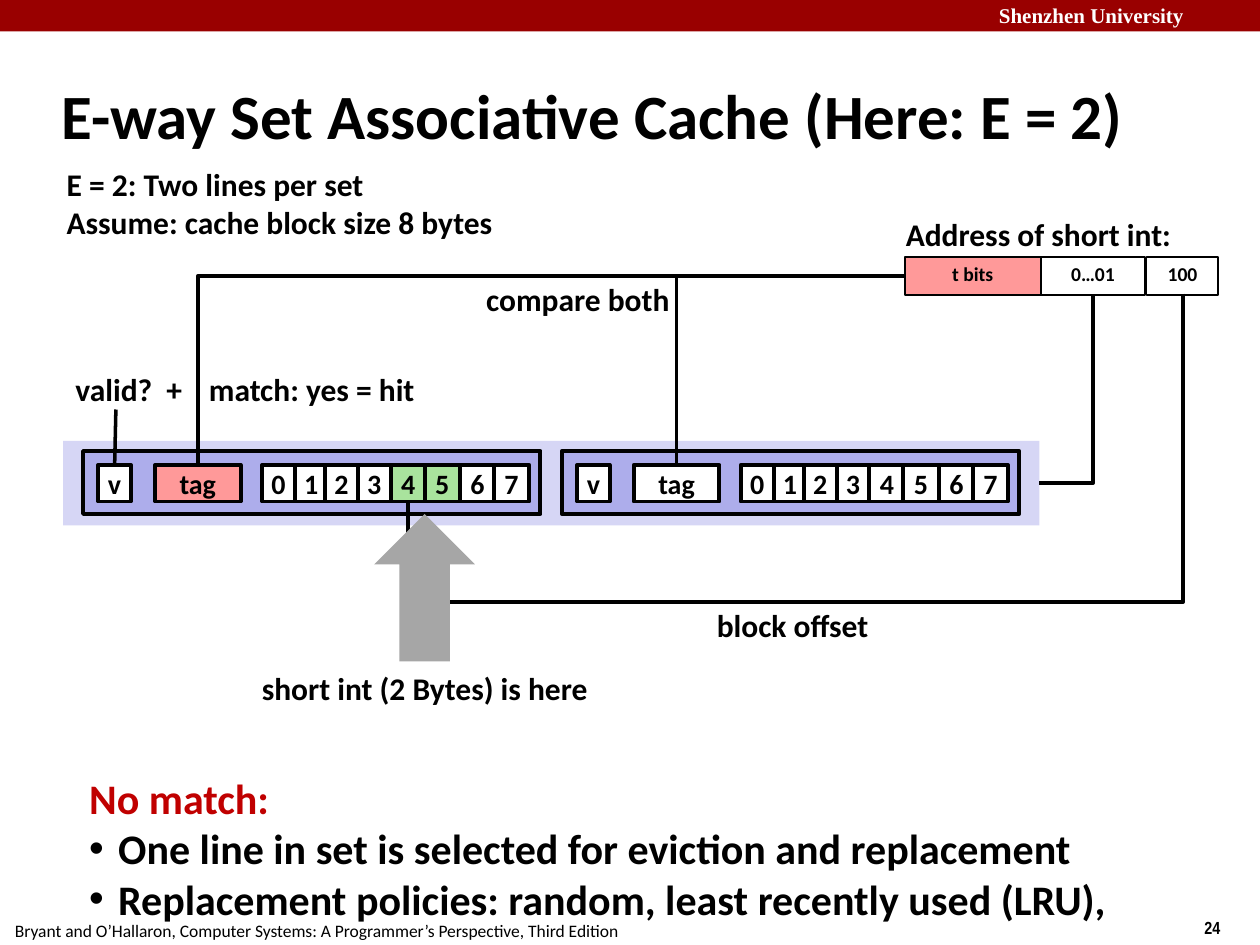
"""Builds the slide on a two-way set associative cache lookup."""
from lxml.etree import SubElement
from pptx import Presentation
from pptx.dml.color import RGBColor
from pptx.enum.shapes import MSO_CONNECTOR, MSO_SHAPE
from pptx.enum.text import MSO_ANCHOR, PP_ALIGN
from pptx.oxml.ns import qn
from pptx.util import Pt

PX = 9144
THEME = {
    "black": "000000", "white": "FFFFFF", "banner": "990000", "alert": "C00000",
    "tag": "FF9999", "hit": "A9E39D", "set": "D6D6F5", "way": "ADADEB", "arrow": "A6A6A6",
    "font": "Calibri", "serif": "Times New Roman", "narrow": "Arial Narrow",
    "title": 36, "body": 24, "label": 18, "cell": 16, "bits": 11.2, "banner_text": 12, "small": 10,
    "outline": 2.25, "thin": 1, "wire": 2,
}

prs = Presentation()
prs.slide_width, prs.slide_height = 1000 * PX, 750 * PX
s = prs.slides.add_slide(prs.slide_layouts[6])


def box(rect, lines=(), fill=None, line=None, size="label", color="black", font="font",
        bold=True, wrap=False, spacing=None, middle=False, kind=MSO_SHAPE.RECTANGLE):
    x, y, w, h = (v * PX for v in rect)
    if fill:
        sp = s.shapes.add_shape(kind, x, y, w, h)
        sp.shadow.inherit = False
        sp.fill.solid()
        sp.fill.fore_color.rgb = RGBColor.from_string(THEME[fill])
        if line:
            sp.line.color.rgb = RGBColor.from_string(THEME["black"])
            sp.line.width = Pt(THEME[line])
        else:
            sp.line.fill.background()
    else:
        sp = s.shapes.add_textbox(x, y, w, h)
    tf = sp.text_frame
    tf.word_wrap = wrap
    tf.vertical_anchor = MSO_ANCHOR.MIDDLE if fill or middle else MSO_ANCHOR.TOP
    for i, text in enumerate(lines):
        p = tf.add_paragraph() if i else tf.paragraphs[0]
        p.alignment = PP_ALIGN.CENTER if fill else PP_ALIGN.LEFT
        p.line_spacing = spacing
        r = p.add_run()
        r.text = text
        r.font.color.rgb = RGBColor.from_string(THEME[color])
        values = {"name": THEME[font], "size": Pt(THEME[size]), "bold": bold}
        for name, value in values.items():
            setattr(r.font, name, value)
    return sp


def wire(kind, begin, end):
    sp = s.shapes.add_connector(kind, 0, 0, 0, 0)
    sp.begin_connect(*begin)
    sp.end_connect(*end)
    sp.line.color.rgb = RGBColor.from_string(THEME["black"])
    sp.line.width = Pt(THEME["wire"])
    spPr = sp._element.spPr
    SubElement(spPr, qn("a:effectLst"))
    return sp, spPr.find(qn("a:xfrm")), spPr.find(qn("a:prstGeom"))


box((0, 0, 1000, 25), fill="banner")
box((783, -3, 224, 30), ["Shenzhen University"], size="banner_text", color="white",
    font="serif", wrap=True)
box((946, 723, 75, 27), ["24"], size="small", font="narrow")
box((2, 725, 501, 27),
    ["Bryant and O’Hallaron, Computer Systems: A Programmer’s Perspective, Third Edition"],
    size="small", bold=False)
box((39, 49, 902, 83), ["E-way Set Associative Cache (Here: E = 2)"], size="title",
    wrap=True, middle=True)

address = []
for x, w, text, fill in [(718, 108, "t bits", "tag"), (826, 83, "0…01", "white"),
                         (910, 57, "100", "white")]:
    address.append(box((x, 204, w, 30), [text], fill, "thin", "bits", wrap=True, spacing=0.8))
tag_bits, set_index, offset = address

band = box((50, 350, 775, 67), fill="set")
ways = []
for left, tag_fill, hits in [(66, "tag", (4, 5)), (446, "white", ())]:
    box((left, 358, 363, 50), fill="way", line="outline")
    fields = [(12, 26, "v", "white"), (57, 68, "tag", tag_fill)]
    for i, dx in enumerate((142, 168, 192, 218, 244, 271, 299, 326)):
        fields.append((dx, 26 if i < 4 else 28, str(i), "hit" if i in hits else "white"))
    ways.append({text: box((left + dx, 369, w, 29), [text], fill, "outline", "cell")
                 for dx, w, text, fill in fields})

for begin, end in [((band, 3), (set_index, 2)), ((tag_bits, 1), (ways[1]["tag"], 0)),
                   ((tag_bits, 1), (ways[0]["tag"], 0))]:
    sp, xfrm, geom = wire(MSO_CONNECTOR.ELBOW, begin, end)
    geom.set("prst", "bentConnector2")

sp, xfrm, geom = wire(MSO_CONNECTOR.ELBOW, (offset, 2), (ways[0]["4"], 2))
for name in ("flipH", "flipV"):
    xfrm.attrib.pop(name, None)
xfrm.set("rot", "5400000")
for name, value in {"left": 549, "top": 8, "width": 165, "height": 615}.items():
    setattr(sp, name, value * PX)
guides = geom.find(qn("a:avLst"))
if guides is None:
    guides = SubElement(geom, qn("a:avLst"))
SubElement(guides, qn("a:gd"), name="adj1", fmla="val 148400")

valid = box((50, 289, 111, 40), ["valid?  +"])
sp, xfrm, geom = wire(MSO_CONNECTOR.STRAIGHT, (valid, 2), (ways[0]["v"], 0))
sp._element.nvCxnSpPr.cNvCxnSpPr.remove(sp._element.nvCxnSpPr.cNvCxnSpPr.stCxn)
sp.begin_x, sp.begin_y = 92 * PX, 325 * PX

arrow = box((297, 408, 80, 117), fill="arrow", kind=MSO_SHAPE.DOWN_ARROW)
arrow._element.spPr.find(qn("a:xfrm")).set("flipV", "1")

for rect, lines in [
    ((43, 126, 359, 70), ["E = 2: Two lines per set", "Assume: cache block size 8 bytes"]),
    ((709, 166, 231, 40), ["Address of short int:"]),
    ((376, 217, 166, 40), ["compare both"]),
    ((156, 289, 184, 40), ["match: yes = hit"]),
    ((559, 476, 141, 40), ["block offset"]),
    ((198, 526, 280, 40), ["short int (2 Bytes) is here"]),
]:
    box(rect, lines)

policy = box((61, 608, 850, 130), [
    "No match:", "One line in set is selected for eviction and replacement",
    "Replacement policies: random, least recently used (LRU), …"], size="body")
heading, *bullets = policy.text_frame.paragraphs
heading.runs[0].font.color.rgb = RGBColor.from_string(THEME["alert"])
for p in bullets:
    pPr = p._p.get_or_add_pPr()
    pPr.set("marL", str(23 * PX))
    pPr.set("indent", str(-23 * PX))
    SubElement(pPr, qn("a:buFont"), typeface="Arial")
    SubElement(pPr, qn("a:buChar"), char="•")

prs.save("out.pptx")
